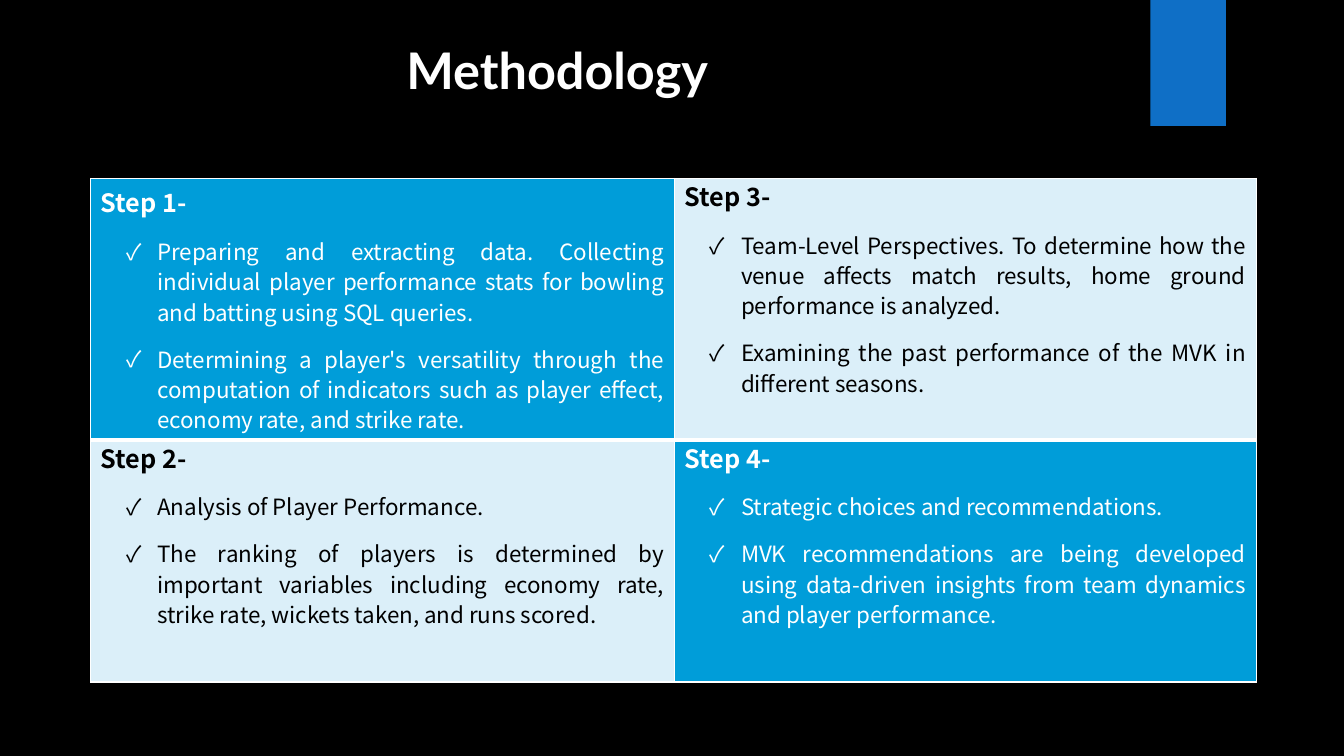
import pptx
import pptx.util
import pptx.dml.color
import pptx.enum.shapes
import pptx.enum.text
import pptx.oxml.ns
import lxml.etree

RGB = pptx.dml.color.RGBColor
BLACK = RGB(0x00, 0x00, 0x00)
WHITE = RGB(0xFF, 0xFF, 0xFF)
TAB_BLUE = RGB(0x0F, 0x6F, 0xC6)
CYAN = RGB(0x00, 0x9D, 0xD9)
PALE = RGB(0xDB, 0xEF, 0xF9)
BODY_FONT = "Noto Sans CJK TC"
ALIGN = pptx.enum.text.PP_ALIGN.JUSTIFY

STEPS = [
    [("Step 1-",
      "Preparing and extracting data. Collecting individual player performance stats for bowling and batting using SQL queries.",
      "Determining a player's versatility through the computation of indicators such as player effect, economy rate, and strike rate."),
     ("Step 3-",
      "Team-Level Perspectives. To determine how the venue affects match results, home ground performance is analyzed.",
      "Examining the past performance of the MVK in different seasons.")],
    [("Step 2-",
      "Analysis of Player Performance.",
      "The ranking of players is determined by important variables including economy rate, strike rate, wickets taken, and runs scored."),
     ("Step 4-",
      "Strategic choices and recommendations.",
      "MVK recommendations are being developed using data-driven insights from team dynamics and player performance.")],
]


def sub(parent, tag, **attrs):
    return lxml.etree.SubElement(parent, pptx.oxml.ns.qn(tag), **attrs)


def add_run(p, text, font, size, color, bold):
    r = p.add_run()
    r.text = text
    r.font.name = font
    r.font.size = pptx.util.Pt(size)
    r.font.bold = bold
    r.font.color.rgb = color
    sub(r._r.get_or_add_rPr(), "a:ea", typeface=font)


prs = pptx.Presentation()
prs.slide_width = pptx.util.Inches(13.33)
prs.slide_height = pptx.util.Inches(7.5)
COL = prs.slide_width / 1333
ROW = prs.slide_height / 750

s = prs.slides.add_slide(prs.slide_layouts[5])
s.background.fill.solid()
s.background.fill.fore_color.rgb = BLACK

sp = s.shapes.add_shape(pptx.enum.shapes.MSO_SHAPE.RECTANGLE,
                        int(1141 * COL), 0, int(75 * COL), int(125 * ROW))
sp.shadow.inherit = False
sp.fill.solid()
sp.fill.fore_color.rgb = TAB_BLUE
sp.line.fill.background()

title = s.shapes.title
title.left, title.top = int(393 * COL), int(26 * ROW)
title.width, title.height = int(548 * COL), int(86 * ROW)
tf = title.text_frame
tf.word_wrap = True
tf.vertical_anchor = pptx.enum.text.MSO_ANCHOR.MIDDLE
p = tf.paragraphs[0]
p.alignment = ALIGN
add_run(p, "Methodology", "Lato", 36, WHITE, True)

table = s.shapes.add_table(2, 2, int(90 * COL), int(177 * ROW),
                           int(1156 * COL), int(499 * ROW)).table
table.first_row = False
table.horz_banding = False
for column, share in zip(table.columns, (579, 577)):
    column.width = int(share * COL)
for row, share in zip(table.rows, (259, 240)):
    row.height = int(share * ROW)

for i, row_steps in enumerate(STEPS):
    for j, (heading, *points) in enumerate(row_steps):
        dark = i == j
        color = WHITE if dark else BLACK
        cell = table.cell(i, j)
        tcPr = cell._tc.get_or_add_tcPr()
        for side in "LRTB":
            thick = (i, side) in ((0, "B"), (1, "T"))
            ln = sub(tcPr, f"a:ln{side}", w=str(pptx.util.Pt(3 if thick else 1)))
            sub(sub(ln, "a:solidFill"), "a:srgbClr", val=str(WHITE))
        cell.fill.solid()
        cell.fill.fore_color.rgb = CYAN if dark else PALE

        tf = cell.text_frame
        p = tf.paragraphs[0]
        p.alignment = ALIGN
        p.space_after = pptx.util.Pt(12)
        if (i, j) != (0, 0):
            p.line_spacing = pptx.util.Pt(21.6)
        add_run(p, heading, BODY_FONT, 18, color, True)
        for point in points:
            p = tf.add_paragraph()
            p.alignment = ALIGN
            p.line_spacing = pptx.util.Pt(21.6)
            p.space_after = pptx.util.Pt(12)
            pPr = p._p.get_or_add_pPr()
            pPr.set("marL", str(pptx.util.Inches(0.56)))
            pPr.set("indent", str(pptx.util.Inches(-0.31)))
            sub(pPr, "a:buFont", typeface=BODY_FONT)
            sub(pPr, "a:buChar", char="✓")
            add_run(p, point, BODY_FONT, 16, color, False)

prs.save("out.pptx")
